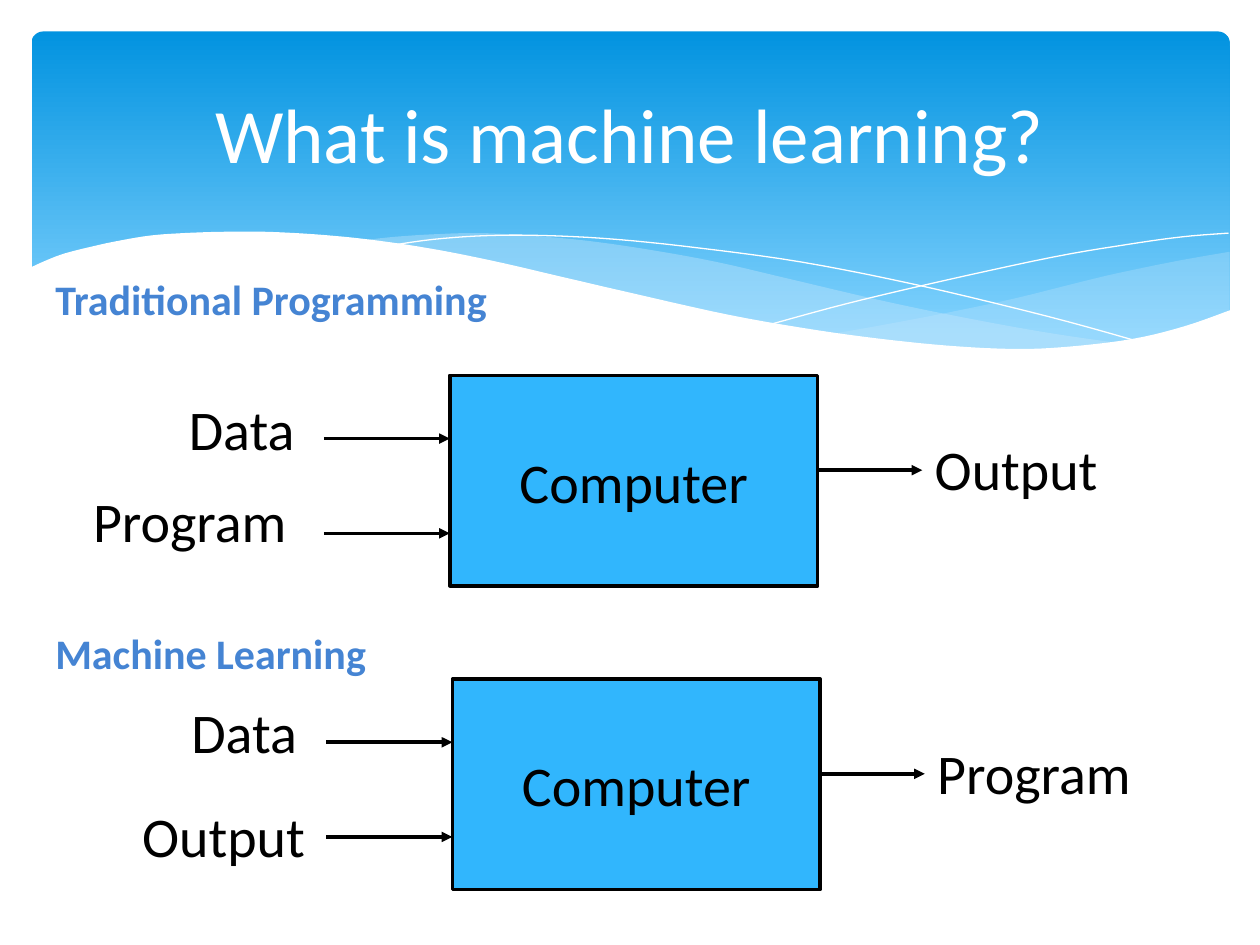
from lxml import etree
from pptx import Presentation
from pptx import util as u
from pptx.dml.color import RGBColor
from pptx.enum import shapes, text
from pptx.oxml import ns

WHITE = RGBColor(0xFF, 0xFF, 0xFF)
BLACK = RGBColor(0x00, 0x00, 0x00)
SKY_DEEP = RGBColor(0x02, 0x93, 0xE0)
SKY_PALE = RGBColor(0x83, 0xD3, 0xFE)
MIST = RGBColor(0xC6, 0xE7, 0xFC)
COMPUTER_BLUE = RGBColor(0x31, 0xB6, 0xFD)
HEADING_BLUE = RGBColor(0x45, 0x84, 0xD3)
FONT = "Calibri"
COLUMNS, ROWS = 100, 75
CELL = u.Inches(10) // COLUMNS
LABEL_WIDTH = {"Data": 11.4, "Program": 19, "Output": 15.3}

RIGHT_SWELL = [(97.5, 2), (93.5, 2.7), (89.1, 3.6), (86.1, 4.3), (80.5, 5.7),
               (75.3, 6.8), (70.6, 7.7), (66.1, 8.5)]
RIGHT_TROUGH = [(66.1, 8.5), (70.5, 9.1), (75.7, 9.6), (80.3, 9.8), (84.4, 9.7),
                (88.1, 9.3), (92.1, 8.5), (94.9, 7.7), (97.6, 6.7)]
LONG_SWELL = [(89.3, 9.3), (83.7, 8.5), (77.5, 7.4), (70.6, 6), (62.9, 4.2),
              (56.9, 2.8), (51.4, 1.8), (46.5, 1.1), (42, 0.7), (38, 0.5),
              (34.4, 0.6), (31.3, 0.8), (28.6, 1.1)]
LONG_TROUGH = [(28.6, 1.1), (34.2, 1.9), (40.4, 3.1), (44.9, 4.2), (53, 6),
               (60.1, 7.5), (66.5, 8.6), (72.2, 9.4), (77.3, 9.7), (81.8, 9.8),
               (85.7, 9.7), (89.3, 9.3)]
FALLING_LINE = [(30.9, 1.5), (34.4, 1), (38.7, 0.7), (43.3, 0.7), (48.9, 1),
                (55.6, 1.7), (63.6, 2.8), (72.7, 4.6), (83.1, 7.1), (90.7, 9.2)]
RISING_LINE = [(61.3, 7.7), (67.2, 6.1), (74.8, 4.3), (83.6, 2.4), (89.5, 1.4),
               (93.8, 0.8), (97.5, 0.5)]
WHITE_CREST = [(97.7, 6.6), (94, 7.9), (89.9, 8.9), (85, 9.5), (80.9, 9.7),
               (76.1, 9.5), (70.8, 9), (64.8, 8.2), (57.9, 7), (50.3, 5.3),
               (44.7, 4), (39.1, 2.7), (34, 1.7), (29.2, 1), (25, 0.6),
               (21.1, 0.4), (17.7, 0.4), (14.6, 0.5), (11.9, 0.7), (9.5, 1.1),
               (7.6, 1.5), (5.2, 2.1), (3.6, 2.7), (2.3, 3.3)]


def cells(*lengths):
    """Turn grid lengths into slide lengths."""
    return [u.Emu(round(length * CELL)) for length in lengths]


def smooth(knots, steps=5):
    """Return points of a spline that passes through the knots."""
    ends = [knots[0], *knots, knots[-1]]
    points = [knots[0]]
    for before, start, end, after in zip(ends, ends[1:], ends[2:], ends[3:]):
        for step in range(1, steps + 1):
            t = step / steps
            points.append(tuple(
                (2 * b + (c - a) * t + (2 * a - 5 * b + 4 * c - d) * t ** 2
                 + (3 * b - a - 3 * c + d) * t ** 3) / 2
                for a, b, c, d in zip(before, start, end, after)))
    return points


def add_text(slide, words, box, size=32, color=BLACK, bold=False,
             align=text.PP_ALIGN.LEFT, anchor=text.MSO_ANCHOR.TOP, wrap=False):
    """Add a text box in the given format."""
    label = slide.shapes.add_textbox(*cells(*box))
    write(label.text_frame, words, size, color, bold, align, anchor, wrap)
    if not wrap:
        label.text_frame.auto_size = text.MSO_AUTO_SIZE.SHAPE_TO_FIT_TEXT


def write(frame, words, size=32, color=BLACK, bold=False,
          align=text.PP_ALIGN.CENTER, anchor=text.MSO_ANCHOR.MIDDLE, wrap=False):
    """Write one formatted paragraph into a text frame."""
    frame.word_wrap = wrap
    frame.vertical_anchor = anchor
    paragraph = frame.paragraphs[0]
    paragraph.alignment = align
    run = paragraph.add_run()
    run.text = words
    run.font.name = FONT
    run.font.size = u.Pt(size)
    run.font.bold = bold
    run.font.color.rgb = color


def add_wave(slide, points, box, color, opacity=100, filled=True):
    """Add a filled wave or a hairline curve inside the box."""
    left, top = box[:2]
    outline = [cells(left + x, top + y) for x, y in points]
    builder = slide.shapes.build_freeform(*outline[0], scale=1.0)
    builder.add_line_segments(outline[1:], close=filled)
    wave = builder.convert_to_shape()
    wave.shadow.inherit = False
    if not filled:
        wave.fill.background()
        wave.line.color.rgb = color
        wave.line.width = u.Pt(0)
        return
    wave.line.fill.background()
    wave.fill.solid()
    wave.fill.fore_color.rgb = color
    if opacity < 100:
        tint = wave.fill._xPr.find(".//" + ns.qn("a:srgbClr"))
        etree.SubElement(tint, ns.qn("a:alpha"), val=str(opacity * 1000))


def add_arrow(slide, left, right, row):
    """Add a horizontal arrow pointing right."""
    arrow = slide.shapes.add_connector(
        shapes.MSO_CONNECTOR.STRAIGHT, *cells(left, row, right, row))
    arrow.line.color.rgb = BLACK
    arrow.line.width = u.Pt(2)
    etree.SubElement(arrow.line._get_or_add_ln(), ns.qn("a:tailEnd"), type="triangle")
    etree.SubElement(arrow._element.spPr, ns.qn("a:effectLst"))


def banner(slide, box):
    """Draw the gradient banner."""
    panel = slide.shapes.add_shape(shapes.MSO_SHAPE.ROUNDED_RECTANGLE, *cells(*box))
    panel.adjustments[0] = 0.034
    panel.shadow.inherit = False
    panel.line.fill.background()
    panel.fill.gradient()
    panel.fill.gradient_angle = 270
    for stop, color, position in zip(
            panel.fill.gradient_stops, (SKY_DEEP, SKY_PALE), (0, 0.9)):
        stop.color.rgb = color
        stop.position = position


def waves(slide, box):
    """Draw the waves along the foot of the banner."""
    width, height = box[2:]
    add_wave(slide, smooth(RIGHT_SWELL) + smooth(RIGHT_TROUGH) + [(97.6, 2)],
             box, MIST, opacity=29)
    add_wave(slide, smooth(LONG_SWELL) + smooth(LONG_TROUGH), box, MIST, opacity=40)
    for curve in (FALLING_LINE, RISING_LINE):
        add_wave(slide, smooth(curve), box, WHITE, filled=False)
    foot = [(2.3, height), (width - 2.3, height)]
    add_wave(slide, smooth(WHITE_CREST) + foot, box, WHITE)


def process(slide, box, inputs, result, input_rows):
    """Draw a computer with two inputs on its left and a result on its right."""
    left, top, width, height = box
    right = left + width
    computer = slide.shapes.add_shape(shapes.MSO_SHAPE.RECTANGLE, *cells(*box))
    computer.shadow.inherit = False
    computer.fill.solid()
    computer.fill.fore_color.rgb = COMPUTER_BLUE
    computer.line.color.rgb = BLACK
    computer.line.width = u.Pt(2)
    write(computer.text_frame, "Computer")
    for share in (0.3, 0.75):
        add_arrow(slide, left - 10, left, top + share * height)
    add_arrow(slide, right, right + 8.3, top + 0.45 * height)
    for words, row in zip(inputs, input_rows):
        span = LABEL_WIDTH[words]
        add_text(slide, words, (left - 10.3 - span, top + row, span, 6.3))
    add_text(slide, result, (right + 8.3, top + 4.2, LABEL_WIDTH[result], 6.3))


def main():
    """Build and save the slide."""
    deck = Presentation()
    deck.slide_width, deck.slide_height = cells(COLUMNS, ROWS)
    slide = deck.slides.add_slide(deck.slide_layouts[6])
    banner(slide, (2.5, 2.5, 95.1, 27))
    waves(slide, (0, 18, COLUMNS, 14.9))
    for heading, row in (("Traditional Programming", 21.2), ("Machine Learning", 49.3)):
        add_text(slide, heading, (3.4, row, 90.8, 5), size=24,
                 color=HEADING_BLUE, bold=True, wrap=True)
    process(slide, (35.7, 29.8, 29.2, 16.7), ("Data", "Program"), "Output", (1, 8.3))
    process(slide, (35.9, 53.9, 29.2, 16.7), ("Data", "Output"), "Program", (1, 9.2))
    add_text(slide, "What is machine learning?", (5, 3.7, 90, 13.7), size=44,
             color=WHITE, align=text.PP_ALIGN.CENTER,
             anchor=text.MSO_ANCHOR.MIDDLE, wrap=True)
    deck.save("out.pptx")


if __name__ == "__main__":
    main()
